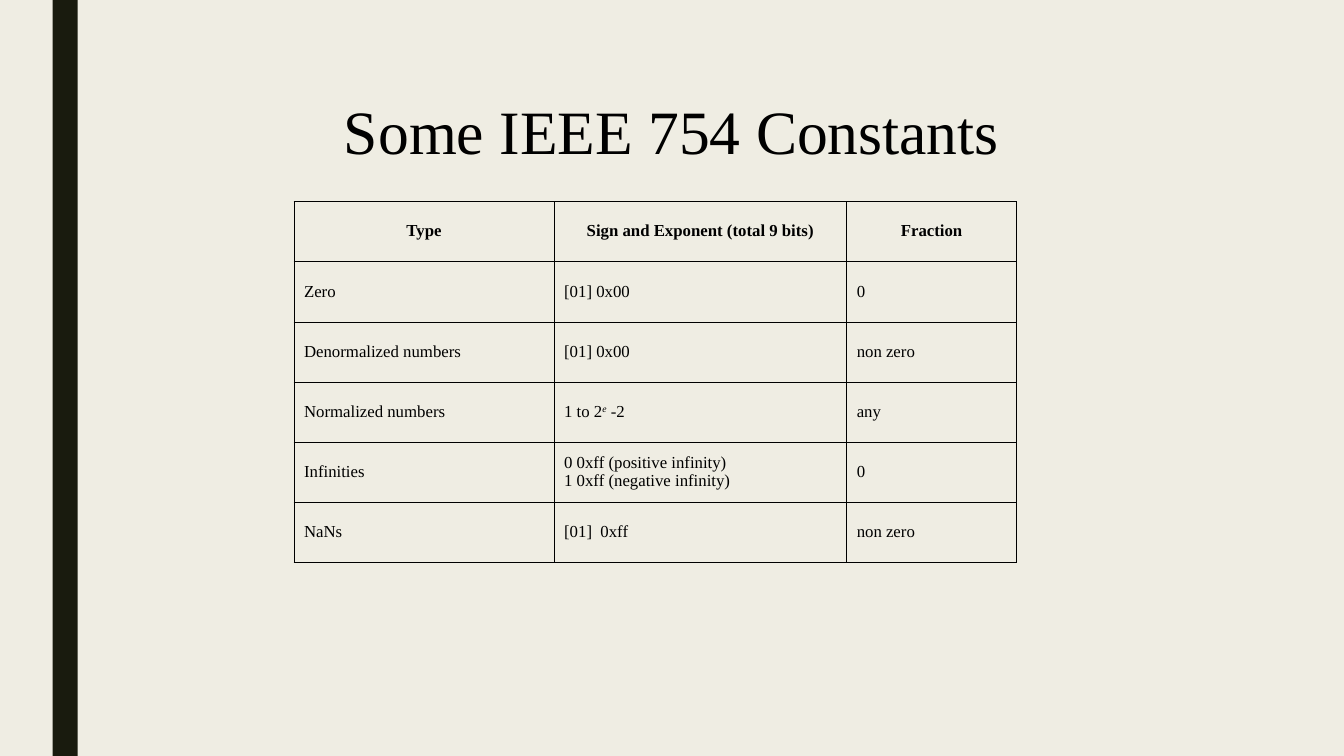
from lxml import etree
from pptx import Presentation, util as u
from pptx.dml.color import RGBColor
from pptx.enum import shapes, text
from pptx.oxml.ns import qn

CREAM = RGBColor(0xEF, 0xED, 0xE3)
OLIVE = RGBColor(0x19, 0x1B, 0x0E)
BLACK = RGBColor(0, 0, 0)

COLUMN_WIDTHS = (185.8, 209, 121.4)
ROW_HEIGHT = 43
# A cell is a string; a tuple holds its base, superscript and remainder.
ROWS = (
    ("Type", "Sign and Exponent (total 9 bits)", "Fraction"),
    ("Zero", "[01] 0x00", "0"),
    ("Denormalized numbers", "[01] 0x00", "non zero"),
    ("Normalized numbers", ("1 to 2", "e", " -2"), "any"),
    ("Infinities", "0 0xff (positive infinity)\n1 0xff (negative infinity)", "0"),
    ("NaNs", "[01]  0xff", "non zero"),
)


class SlideBuilder:
    font = "Times New Roman"
    border = 0.68

    def __init__(self, prs):
        self.s = prs.slides.add_slide(prs.slide_layouts[6])
        fill = self.s.background.fill
        fill.solid()
        fill.fore_color.rgb = CREAM

    def bar(self, x, y, w, h):
        sp = self.s.shapes.add_shape(
            shapes.MSO_SHAPE.RECTANGLE, u.Pt(x), u.Pt(y), u.Pt(w), u.Pt(h))
        sp.shadow.inherit = False
        sp.fill.solid()
        sp.fill.fore_color.rgb = OLIVE
        sp.line.fill.background()

    def style(self, p, size, bold=False, centred=False):
        p.alignment = text.PP_ALIGN.CENTER if centred else text.PP_ALIGN.LEFT
        p.font.name = self.font
        p.font.size = u.Pt(size)
        p.font.bold = bold
        p.font.color.rgb = BLACK

    def title(self, words, x, y, w, h):
        sp = self.s.shapes.add_textbox(u.Pt(x), u.Pt(y), u.Pt(w), u.Pt(h))
        tf = sp.text_frame
        tf.word_wrap = True
        tf.vertical_anchor = text.MSO_ANCHOR.MIDDLE
        tf.text = words
        self.style(tf.paragraphs[0], 44, centred=True)

    def table(self, rows, widths, row_height, x, y):
        table = self.s.shapes.add_table(
            len(rows), len(widths), u.Pt(x), u.Pt(y),
            u.Pt(sum(widths)), u.Pt(row_height * len(rows))).table
        table.first_row = table.horz_banding = False
        for column, width in zip(table.columns, widths):
            column.width = u.Pt(width)
        for i, row in enumerate(rows):
            table.rows[i].height = u.Pt(row_height)
            for j, content in enumerate(row):
                self.cell(table.cell(i, j), content, header=i == 0)

    def cell(self, cell, content, header):
        cell.vertical_anchor = text.MSO_ANCHOR.MIDDLE
        cell.fill.background()
        self.outline(cell)
        tf = cell.text_frame
        if isinstance(content, tuple):
            self.superscript(tf.paragraphs[0], *content)
        else:
            tf.text = content
        for p in tf.paragraphs:
            self.style(p, 12, bold=header, centred=header)
            p.line_spacing = 0.95

    def superscript(self, p, base, exponent, rest):
        for words in (base, exponent, rest):
            r = p.add_run()
            r.text = words
            if words == exponent:
                r.font.italic = True
                r._r.get_or_add_rPr().set("baseline", "30000")

    def outline(self, cell):
        """Draw all four borders of a table cell."""
        tcPr = cell._tc.get_or_add_tcPr()
        for i, side in enumerate(("a:lnL", "a:lnR", "a:lnT", "a:lnB")):
            ln = etree.Element(qn(side), w=str(u.Pt(self.border)))
            fill = etree.SubElement(ln, qn("a:solidFill"))
            etree.SubElement(fill, qn("a:srgbClr"), val=str(BLACK))
            tcPr.insert(i, ln)


def main():
    prs = Presentation()
    prs.slide_width, prs.slide_height = u.Pt(960), u.Pt(540)
    slide = SlideBuilder(prs)
    slide.bar(37.5, 0, 18, 540)
    slide.title("Some IEEE 754 Constants", 174, 48, 612, 90)
    slide.table(ROWS, COLUMN_WIDTHS, ROW_HEIGHT, 210, 144)
    prs.save("out.pptx")


if __name__ == "__main__":
    main()
